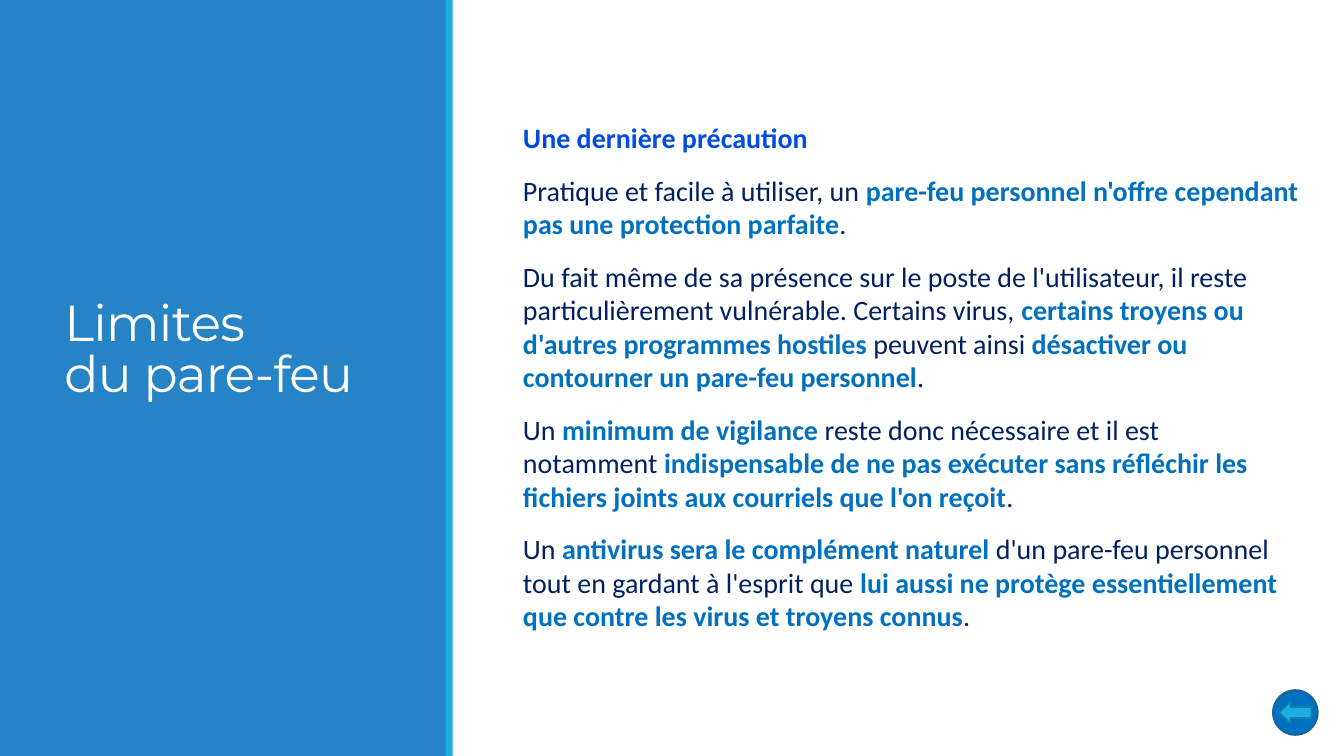
from pptx import Presentation
from pptx.dml.color import RGBColor
from pptx.enum.shapes import MSO_SHAPE
from pptx.enum.text import MSO_ANCHOR, MSO_AUTO_SIZE, PP_ALIGN
from pptx.oxml.ns import qn
from pptx.util import Cm, Pt

WHITE, BLUE, CYAN = "FFFFFF", "2683C6", "1CADE4"
NAVY, STRONG, HEADING = "002060", "0070C0", "004BE2"

TITLE = "Limites\vdu pare-feu"
SUBTITLE = "Une dernière précaution"
# Asterisks enclose the emphasised passages
PARAGRAPHS = [
    "Pratique et facile à utiliser, un *pare-feu personnel n'offre cependant "
    "pas une protection parfaite*.",
    "Du fait même de sa présence sur le poste de l'utilisateur, il reste "
    "particulièrement vulnérable. Certains virus, *certains troyens ou "
    "d'autres programmes hostiles* peuvent ainsi *désactiver ou contourner "
    "un pare-feu personnel*.",
    "Un *minimum de vigilance *reste donc nécessaire et il est notamment "
    "*indispensable de ne pas exécuter sans réfléchir les fichiers joints "
    "aux courriels que l'on reçoit*.",
    "Un *antivirus sera le complément naturel *d'un pare-feu personnel tout "
    "en gardant à l'esprit que *lui aussi ne protège essentiellement que "
    "contre les virus et troyens connus*.",
]


def color(value):
    return RGBColor.from_string(value)


def add_filled_shape(slide, kind, box, fill, line=None):
    shape = slide.shapes.add_shape(kind, *box)
    shape.shadow.inherit = False
    shape.fill.solid()
    shape.fill.fore_color.rgb = color(fill)
    if line:
        shape.line.color.rgb = color(line)
        shape.line.width = Pt(1.25)
    else:
        shape.line.fill.background()
    return shape


def place_placeholder(slide, placeholder, box):
    """Bring the placeholder to the front, fill the box, centre vertically."""
    slide.shapes._spTree.append(placeholder._element)
    placeholder.left, placeholder.top, placeholder.width, placeholder.height = box
    frame = placeholder.text_frame
    frame.word_wrap = True
    frame.auto_size = MSO_AUTO_SIZE.NONE
    frame.vertical_anchor = MSO_ANCHOR.MIDDLE
    return frame


def add_run(paragraph, text, value, bold):
    run = paragraph.add_run()
    run.text = text
    run.font.color.rgb = color(value)
    run.font.bold = bold


def build_title_panel(slide, left, top, width, height):
    # Blue panel with its cyan edge
    add_filled_shape(slide, MSO_SHAPE.RECTANGLE, (left, top, width, height), BLUE)
    add_filled_shape(slide, MSO_SHAPE.RECTANGLE,
                     (left + width - Cm(0.02), top, Cm(0.18), height), CYAN)

    # Title, raised by one line
    frame = place_placeholder(slide, slide.shapes.title,
                              (left + Cm(1.37), top + Cm(1.68), Cm(9.5), Cm(15.67)))
    frame.margin_bottom = Cm(1.45)
    frame.text = TITLE
    paragraph = frame.paragraphs[0]
    paragraph.alignment = PP_ALIGN.LEFT
    paragraph.line_spacing = 0.85
    paragraph.font.name = "Montserrat"
    paragraph.font.size = Pt(36)
    paragraph.font.color.rgb = color(WHITE)
    for run in paragraph.runs:
        run.font._element.set("spc", "-50")


def build_body(slide, left, top, width, height):
    frame = place_placeholder(slide, slide.placeholders[1],
                              (left, top, width, height))
    frame.margin_left = frame.margin_right = 0
    for index, text in enumerate([SUBTITLE] + PARAGRAPHS):
        paragraph = frame.add_paragraph() if index else frame.paragraphs[0]
        paragraph.alignment = PP_ALIGN.LEFT
        paragraph.line_spacing = 0.99
        paragraph.space_before, paragraph.space_after = Pt(12), Pt(2)
        paragraph.font.name = "Calibri"
        paragraph.font.size = Pt(20)

        # No bullet and no hanging indent
        properties = paragraph._p.get_or_add_pPr()
        properties.set("marL", "0")
        properties.set("indent", "0")
        bullet = properties.makeelement(qn("a:buNone"), {})
        properties.find(qn("a:defRPr")).addprevious(bullet)

        if index == 0:
            add_run(paragraph, text, HEADING, True)
            continue
        for position, part in enumerate(text.split("*")):
            emphasised = position % 2 == 1
            add_run(paragraph, part, STRONG if emphasised else NAVY, emphasised)


def build_back_button(slide, left, top, size):
    add_filled_shape(slide, MSO_SHAPE.OVAL, (left, top, size, size),
                     STRONG, "1C6192")
    width, height = Cm(0.81), Cm(0.56)
    add_filled_shape(slide, MSO_SHAPE.LEFT_ARROW,
                     (left + (size - width) // 2, top + (size - height) // 2,
                      width, height), CYAN, "1580A9")


def main():
    presentation = Presentation()
    presentation.slide_width, presentation.slide_height = Cm(33.87), Cm(19.05)
    slide = presentation.slides.add_slide(presentation.slide_layouts[1])
    slide.background.fill.solid()
    slide.background.fill.fore_color.rgb = color(WHITE)

    build_title_panel(slide, 0, 0, Cm(11.25), presentation.slide_height)
    build_body(slide, Cm(13.18), Cm(1.68), Cm(19.56), Cm(15.67))
    build_back_button(slide, Cm(32.08), Cm(17.39), Cm(1.13))
    presentation.save("out.pptx")


if __name__ == "__main__":
    main()
